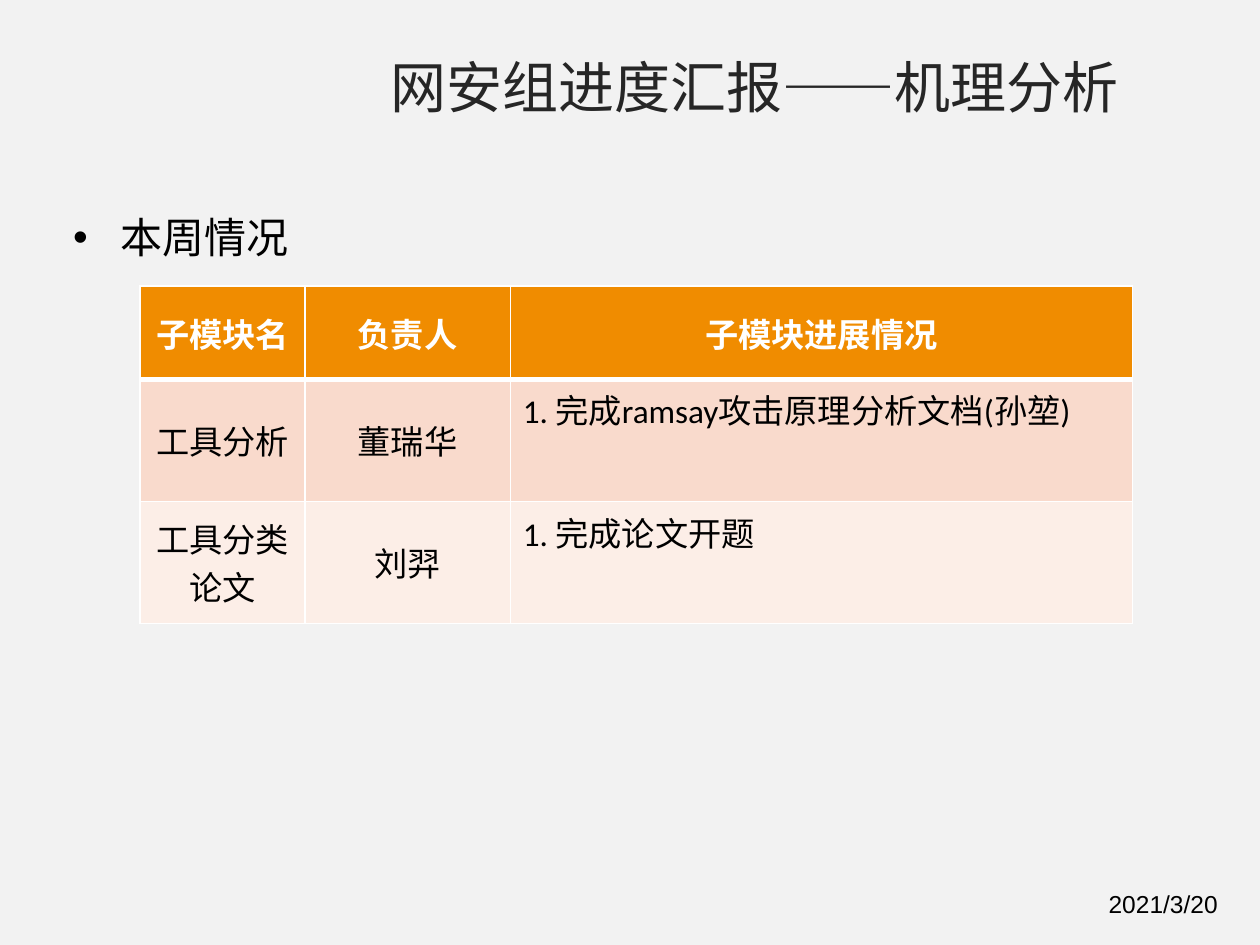
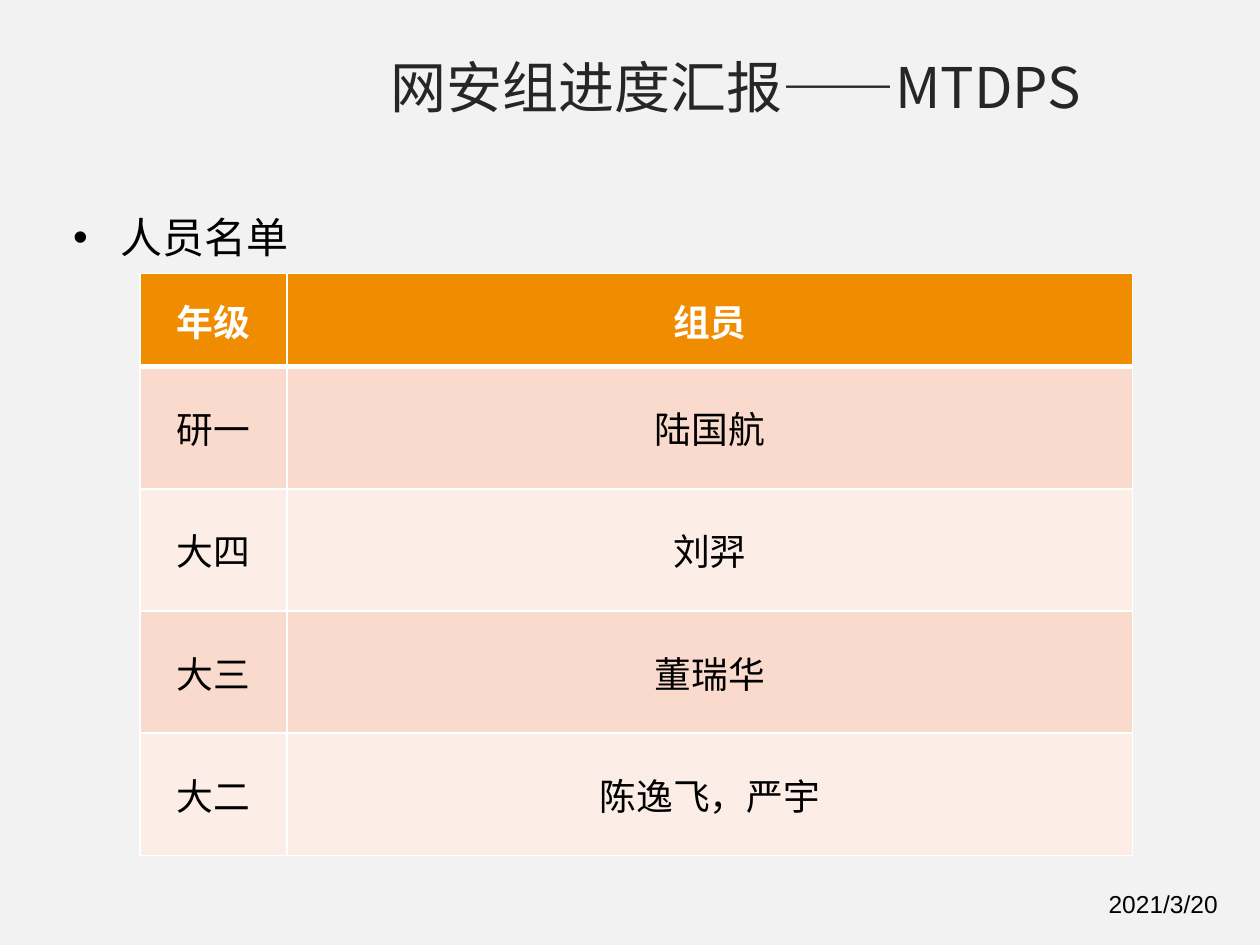
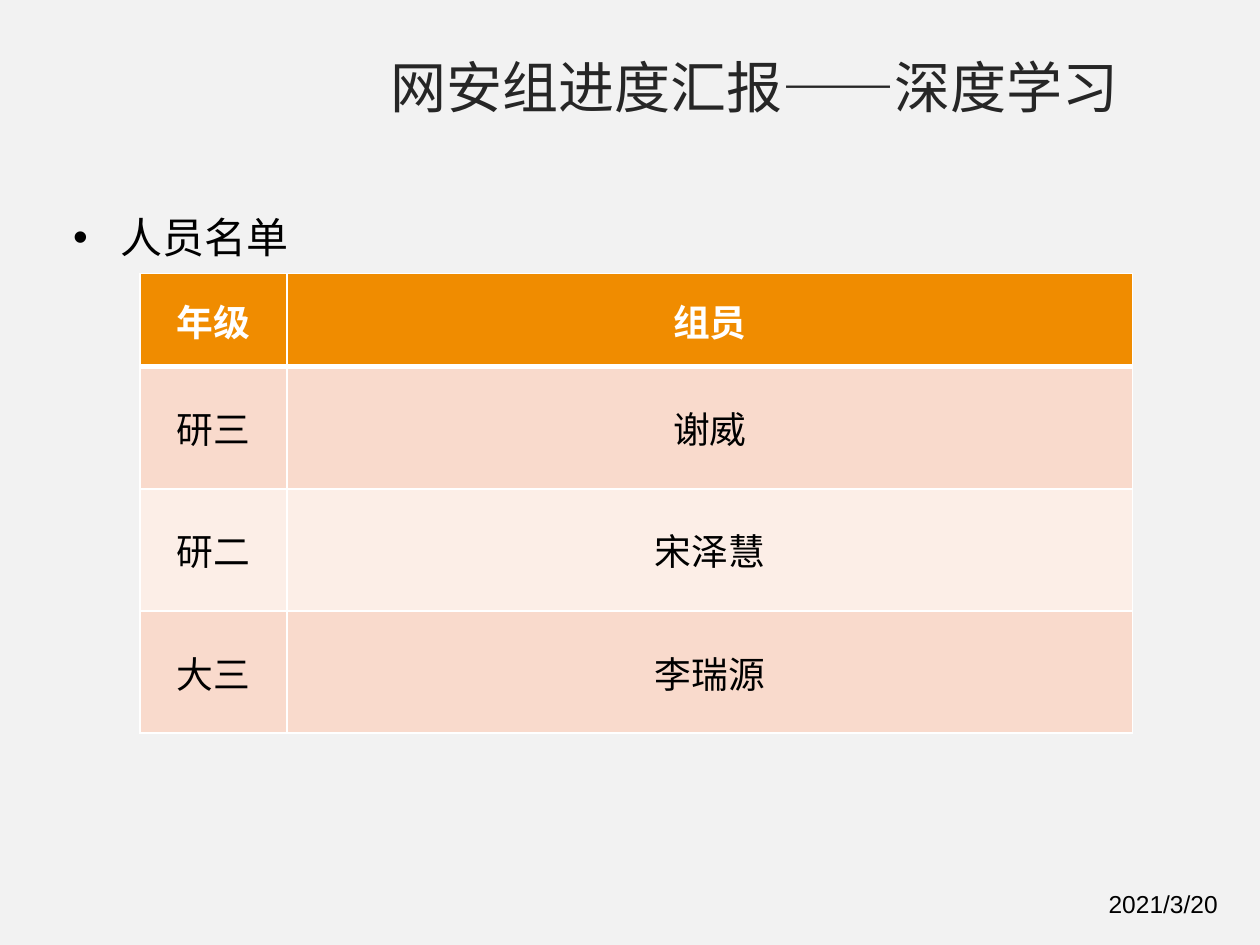
from lxml.etree import SubElement
from pptx import Presentation
from pptx.dml.color import RGBColor
from pptx.enum.text import MSO_ANCHOR as Anchor, MSO_AUTO_SIZE as AutoSize, PP_ALIGN as Align
from pptx.oxml.ns import qn
from pptx.util import Inches, Pt

# The page is a grid of 100 columns by 75 rows of square units.
UNIT = Inches(0.1)
PAGE_COLUMNS, PAGE_ROWS = 100, 75

PAPER = RGBColor(0xF2, 0xF2, 0xF2)
TITLE_INK = RGBColor(0x26, 0x26, 0x26)
BLACK = RGBColor(0, 0, 0)
WHITE = RGBColor(0xFF, 0xFF, 0xFF)
ORANGE = RGBColor(0xF0, 0x8C, 0x00)
BANDS = (RGBColor(0xF9, 0xDA, 0xCC), RGBColor(0xFC, 0xEE, 0xE7))

CJK_FONT = "Noto Sans CJK SC"
TABLE_FONT = "Calibri"
DATE_FONT = "Arial"

TABLE_LEFT = 11.1
HEADER_ROWS, BODY_ROWS = 7.4, 9.7
THIN, THICK = Pt(1), Pt(3)
MEMBER_COLUMNS = (11.7, 67.1)
MEMBER_HEADER = ("年级", "组员")


def units(count):
    return round(count * UNIT)


def place(shape, left, top, width, height):
    shape.left, shape.top = units(left), units(top)
    shape.width, shape.height = units(width), units(height)


def style(para, size, color, name, bold=False, align=Align.LEFT):
    """Format a whole paragraph, East Asian letters included."""
    para.alignment = align
    font = para.font
    font.size, font.bold, font.name = Pt(size), bold, name
    font.color.rgb = color
    defaults = para._p.pPr.find(qn("a:defRPr"))
    SubElement(defaults, qn("a:ea"), typeface=CJK_FONT)


def add_title(page, topic, width):
    title = page.shapes.title
    place(title, 30, 3.7, width, 6.4)
    frame = title.text_frame
    frame.text = f"网安组进度汇报——{topic}"
    frame.word_wrap = False
    frame.auto_size = AutoSize.SHAPE_TO_FIT_TEXT
    frame.vertical_anchor = Anchor.TOP
    style(frame.paragraphs[0], 32, TITLE_INK, CJK_FONT)


def add_heading(page, text):
    body = page.placeholders[1]
    place(body, 4.8, 16.3, 27.3, 6.5)
    frame = body.text_frame
    frame.text = text
    frame.auto_size = AutoSize.NONE
    para = frame.paragraphs[0]
    para.space_before = Pt(0)
    style(para, 24, BLACK, CJK_FONT)


def add_date(page):
    box = page.shapes.add_textbox(units(87), units(70.1), units(13.2), units(3.4))
    frame = box.text_frame
    frame.text = "2021/3/20"
    frame.word_wrap = True
    frame.auto_size = AutoSize.SHAPE_TO_FIT_TEXT
    style(frame.paragraphs[0], 14, BLACK, DATE_FONT)


def add_borders(cell, top, bottom):
    properties = cell._tc.get_or_add_tcPr()
    for side, width in (("L", THIN), ("R", THIN), ("T", top), ("B", bottom)):
        line = SubElement(properties, qn(f"a:ln{side}"), w=str(width))
        fill = SubElement(line, qn("a:solidFill"))
        SubElement(fill, qn("a:srgbClr"), val=str(WHITE))


def add_grid(page, top, columns, rows, size, list_column=None):
    """Add a banded table; list_column holds left-aligned notes."""
    heights = [HEADER_ROWS] + [BODY_ROWS] * (len(rows) - 1)
    table = page.shapes.add_table(
        len(rows), len(columns), units(TABLE_LEFT), units(top),
        units(sum(columns)), units(sum(heights))).table
    for column, width in zip(table.columns, columns):
        column.width = units(width)
    for r, (texts, height) in enumerate(zip(rows, heights)):
        table.rows[r].height = units(height)
        header = r == 0
        for c, text in enumerate(texts):
            cell = table.cell(r, c)
            cell.text = text
            add_borders(cell, THICK if r == 1 else THIN, THICK if header else THIN)
            cell.fill.solid()
            cell.fill.fore_color.rgb = ORANGE if header else BANDS[(r - 1) % 2]
            is_note = c == list_column and not header
            cell.vertical_anchor = Anchor.TOP if is_note else Anchor.MIDDLE
            style(cell.text_frame.paragraphs[0], size, WHITE if header else BLACK,
                  TABLE_FONT, header, Align.LEFT if is_note else Align.CENTER)


def add_page(deck, topic, title_width, heading):
    page = deck.slides.add_slide(deck.slide_layouts[1])
    add_title(page, topic, title_width)
    add_heading(page, heading)
    add_date(page)
    return page


def add_member_page(deck, topic, title_width, members):
    page = add_page(deck, topic, title_width, "人员名单")
    add_grid(page, 21.7, MEMBER_COLUMNS, [MEMBER_HEADER, *members], 21)


def main():
    deck = Presentation()
    deck.slide_width, deck.slide_height = units(PAGE_COLUMNS), units(PAGE_ROWS)
    background = deck.slide_master.background.fill
    background.solid()
    background.fore_color.rgb = PAPER

    progress = add_page(deck, "机理分析", 61.1, "本周情况")
    add_grid(progress, 22.7, (13.1, 16.3, 49.4), [
        ("子模块名", "负责人", "子模块进展情况"),
        ("工具分析", "董瑞华", "1. 完成ramsay攻击原理分析文档(孙堃)"),
        ("工具分类论文", "刘羿", "1. 完成论文开题"),
    ], 19, list_column=2)

    add_member_page(deck, "MTDPS", 58.8, [
        ("研一", "陆国航"),
        ("大四", "刘羿"),
        ("大三", "董瑞华"),
        ("大二", "陈逸飞，严宇"),
    ])
    add_member_page(deck, "深度学习", 61.1, [
        ("研三", "谢威"),
        ("研二", "宋泽慧"),
        ("大三", "李瑞源"),
    ])
    deck.save("out.pptx")


if __name__ == "__main__":
    main()
